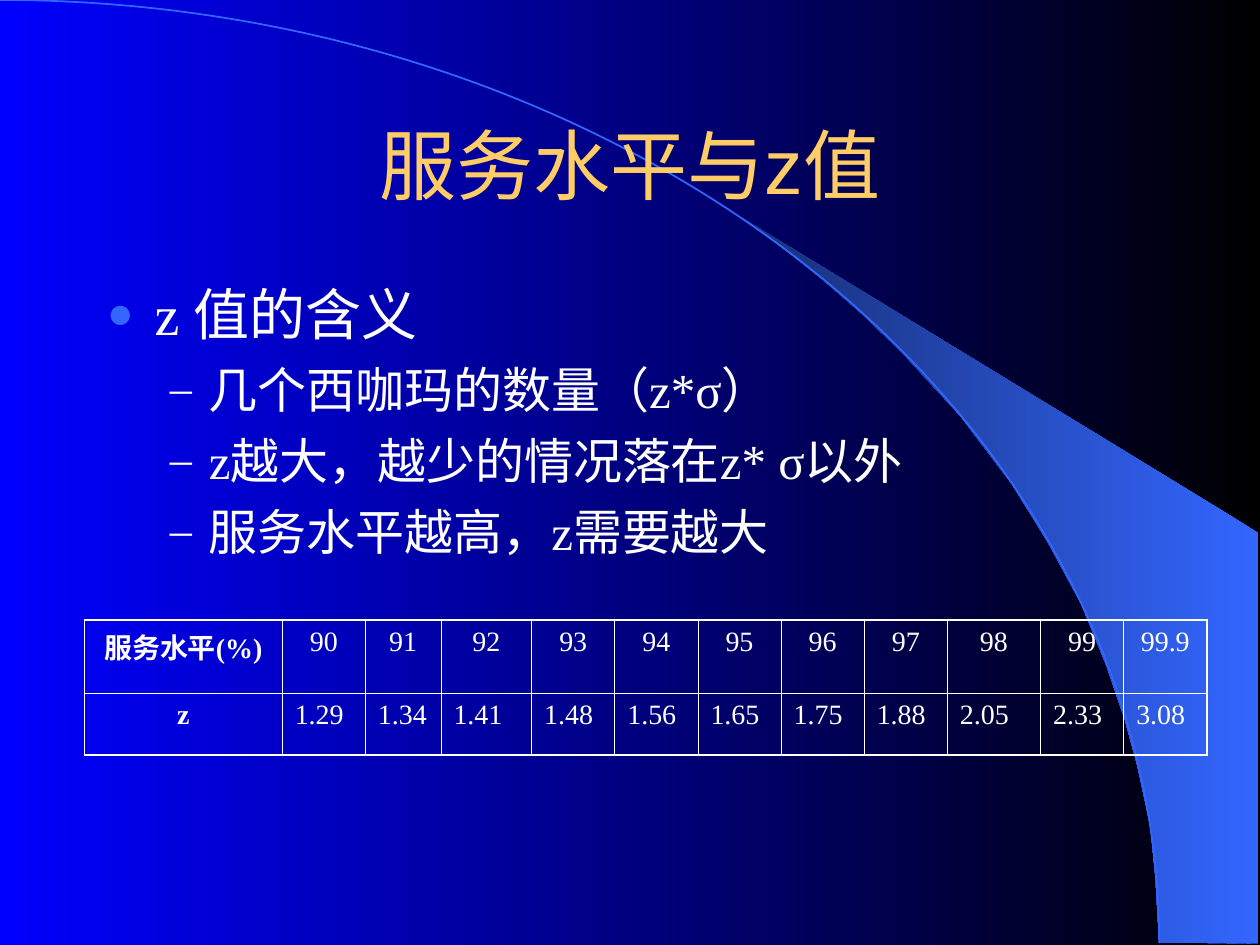
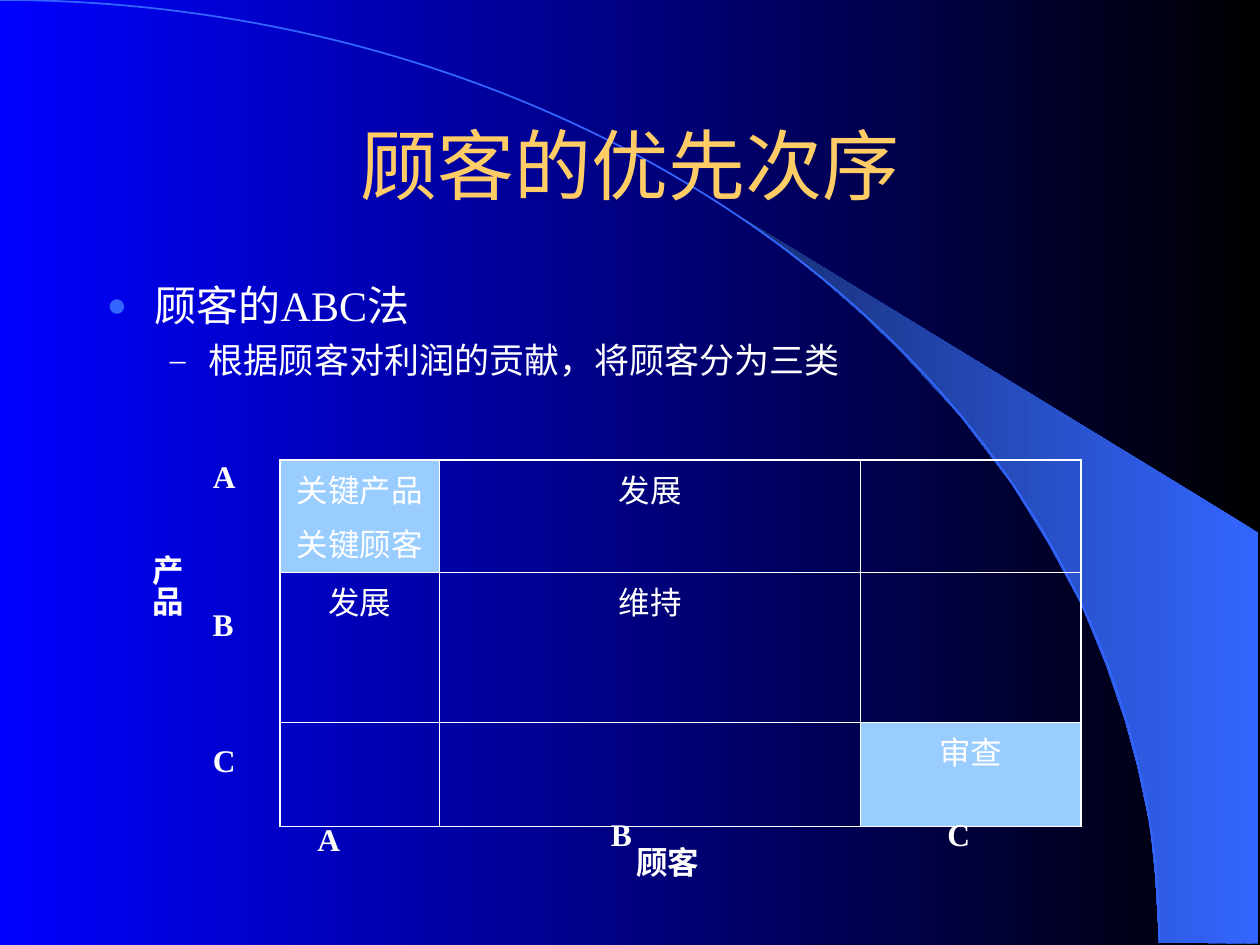
from lxml import etree
from pptx import Presentation
from pptx.dml.color import RGBColor
from pptx.enum.shapes import MSO_SHAPE
from pptx.enum.text import MSO_ANCHOR, MSO_AUTO_SIZE, PP_ALIGN
from pptx.oxml.ns import qn
from pptx.util import Inches, Pt

ARC = MSO_SHAPE.ARC
LEFT, CENTER = PP_ALIGN.LEFT, PP_ALIGN.CENTER
MIDDLE = MSO_ANCHOR.MIDDLE
FIT_SHAPE = MSO_AUTO_SIZE.SHAPE_TO_FIT_TEXT

COLORS = {
    "black": "000000",
    "blue": "0000FF",
    "accent": "3366FF",
    "shade": "172F75",
    "title": "FFCC66",
    "white": "FFFFFF",
    "highlight": "99CCFF",
}
TITLE_FONT, BODY_FONT = "Arial", "Times New Roman"
BULLETS = [("●", "accent", 80, 0.38, -0.38), ("–", "white", 90, 0.81, -0.31)]
SWOOSH = [
    (9.2, 7.48), (9.99, 7.49), (9.99, 4.23), (5.89, 1.73), (6.24, 1.99), (6.53, 2.22),
    (6.85, 2.5), (7.16, 2.8), (7.62, 3.3), (8.03, 3.84), (8.32, 4.31), (8.58, 4.79),
    (8.78, 5.28), (8.93, 5.72), (9.03, 6.09), (9.13, 6.56), (9.17, 6.96),
]


def write(tf, text, size=18, font=BODY_FONT, color="white", bold=False, align=LEFT, bullets=False):
    for i, line in enumerate(text.split("\n")):
        p = tf.paragraphs[0] if i == 0 else tf.add_paragraph()
        level = 1 if bullets and i else 0
        points = size - 4 * level
        if bullets:
            char, bullet_color, percent, margin, indent = BULLETS[level]
            p.level = level
            pPr = p._p.get_or_add_pPr()
            pPr.set("marL", str(Inches(margin)))
            pPr.set("indent", str(Inches(indent)))
            clr = etree.SubElement(pPr, qn("a:buClr"))
            etree.SubElement(clr, qn("a:srgbClr"), val=COLORS[bullet_color])
            etree.SubElement(pPr, qn("a:buSzPct"), val=str(percent * 1000))
            etree.SubElement(pPr, qn("a:buFont"), typeface=BODY_FONT)
            etree.SubElement(pPr, qn("a:buChar"), char=char)
        p.alignment = align
        if i:
            p.space_before = Pt(points / 4)
        r = p.add_run()
        r.text = line
        r.font.size = Pt(points)
        r.font.name = font
        r.font.bold = bold
        r.font.color.rgb = RGBColor.from_string(COLORS[color])


def add_grid(s, left, top, widths, heights):
    table = s.shapes.add_table(len(heights), len(widths), Inches(left), Inches(top),
                               Inches(sum(widths)), Inches(sum(heights))).table
    table.first_row = table.horz_banding = False
    for col, width in zip(table.columns, widths):
        col.width = Inches(width)
    for row, height in zip(table.rows, heights):
        row.height = Inches(height)
    for i in range(len(heights)):
        for j in range(len(widths)):
            cell = table.cell(i, j)
            outer = {"L": j == 0, "R": j == len(widths) - 1, "T": i == 0, "B": i == len(heights) - 1}
            for side, is_outer in outer.items():
                ln = etree.SubElement(cell._tc.get_or_add_tcPr(), qn("a:ln" + side),
                                      w=str(Pt(1.08 if is_outer else 0.45)))
                fill = etree.SubElement(ln, qn("a:solidFill"))
                etree.SubElement(fill, qn("a:srgbClr"), val=COLORS["white"])
            cell.fill.background()
    return table


prs = Presentation()
prs.slide_width, prs.slide_height = Inches(10), Inches(7.5)

pages = [
    ("服务水平与z值", 32, 4.5,
     "z 值的含义\n几个西咖玛的数量（z*σ）\nz越大，越少的情况落在z* σ以外\n服务水平越高，z需要越大"),
    ("顾客的优先次序", 24, 1.08,
     "顾客的ABC法\n根据顾客对利润的贡献，将顾客分为三类"),
]
slides = []
for title, body_size, body_height, body in pages:
    s = prs.slides.add_slide(prs.slide_layouts[6])
    slides.append(s)

    builder = s.shapes.build_freeform(Inches(SWOOSH[0][0]), Inches(SWOOSH[0][1]))
    builder.add_line_segments([(Inches(x), Inches(y)) for x, y in SWOOSH[1:]], close=True)
    swoosh = builder.convert_to_shape()
    swoosh.shadow.inherit = False
    swoosh.line.fill.background()

    for fill, stops in ((s.background.fill, ("black", "blue")), (swoosh.fill, ("accent", "shade"))):
        fill.gradient()
        fill.gradient_angle = 180
        for stop, name in zip(fill.gradient_stops, stops):
            stop.color.rgb = RGBColor.from_string(COLORS[name])

    arc = s.shapes.add_shape(ARC, Inches(-9.2), Inches(0), Inches(18.4), Inches(14.97))
    arc.shadow.inherit = False
    arc.fill.background()
    arc.line.color.rgb = RGBColor.from_string(COLORS["accent"])
    arc.line.width = Pt(1)

    tf = s.shapes.add_textbox(Inches(0.75), Inches(0.67), Inches(8.5), Inches(1.25)).text_frame
    tf.word_wrap = True
    tf.vertical_anchor = MIDDLE
    write(tf, title, size=44, font=TITLE_FONT, color="title", align=CENTER)

    tf = s.shapes.add_textbox(Inches(0.75), Inches(2.17), Inches(8.5), Inches(body_height)).text_frame
    tf.word_wrap = True
    write(tf, body, size=body_size, bullets=True)

service_slide, customer_slide = slides

z_values = [
    ["服务水平(%)", "90", "91", "92", "93", "94", "95", "96", "97", "98", "99", "99.9"],
    ["z", "1.29", "1.34", "1.41", "1.48", "1.56", "1.65", "1.75", "1.88", "2.05", "2.33", "3.08"],
]
z_widths = [1.57, 0.66, 0.6, 0.72] + [0.66] * 5 + [0.74, 0.66, 0.66]
table = add_grid(service_slide, 0.67, 4.92, z_widths, [0.58, 0.49])
for i, row in enumerate(z_values):
    for j, text in enumerate(row):
        write(table.cell(i, j).text_frame, text, size=16, bold=j == 0,
              align=LEFT if i and j else CENTER)

strategies = [
    ["关键产品\n关键顾客", "发展", ""],
    ["发展", "维持", ""],
    ["", "", "审查"],
]
table = add_grid(customer_slide, 2.22, 3.65, [1.27, 3.34, 1.75], [0.89, 1.19, 0.83])
for i, row in enumerate(strategies):
    for j, text in enumerate(row):
        if text:
            write(table.cell(i, j).text_frame, text, align=CENTER)
for i, j in ((0, 0), (2, 2)):
    fill = table.cell(i, j).fill
    fill.solid()
    fill.fore_color.rgb = RGBColor.from_string(COLORS["highlight"])

axis_labels = [
    ("顾客", 4.95, 6.64, 0.7, 0.4),
    ("A", 2.42, 6.46, 0.38, 0.4),
    ("B", 4.75, 6.42, 0.36, 0.4),
    ("C", 7.42, 6.42, 0.38, 0.4),
    ("A", 1.59, 3.58, 0.38, 0.4),
    ("B", 1.59, 4.75, 0.36, 0.4),
    ("C", 1.59, 5.83, 0.38, 0.4),
    ("产品", 1.03, 4.3, 0.5, 0.6),
]
for text, *box in axis_labels:
    tf = customer_slide.shapes.add_textbox(*map(Inches, box)).text_frame
    tf.word_wrap = False
    tf.auto_size = FIT_SHAPE
    if text == "产品":
        tf._txBody.bodyPr.set("vert", "eaVert")
        tf.margin_left = tf.margin_right = Inches(0.05)
        tf.margin_top = tf.margin_bottom = Inches(0.1)
    write(tf, text, bold=True)

prs.save("out.pptx")
